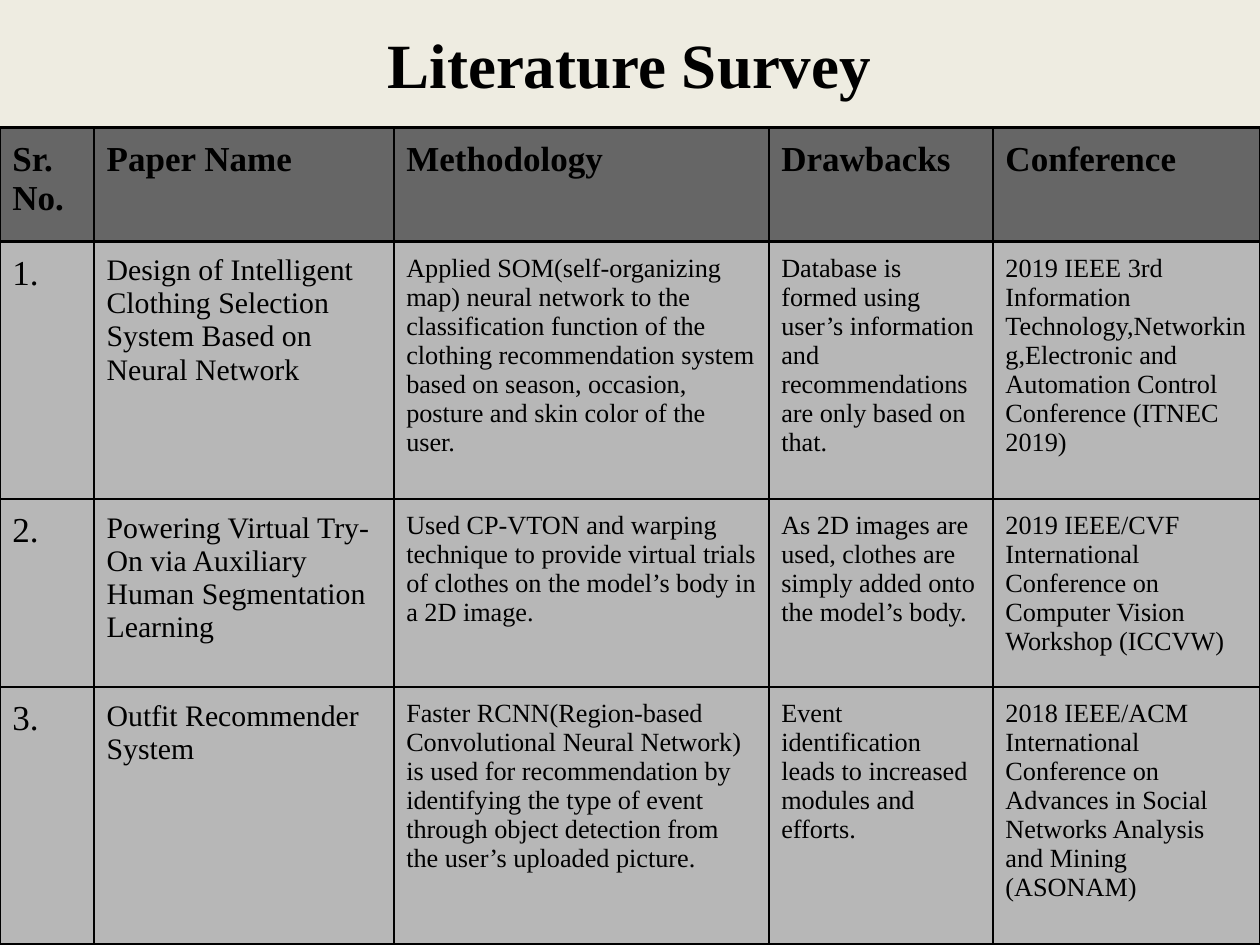
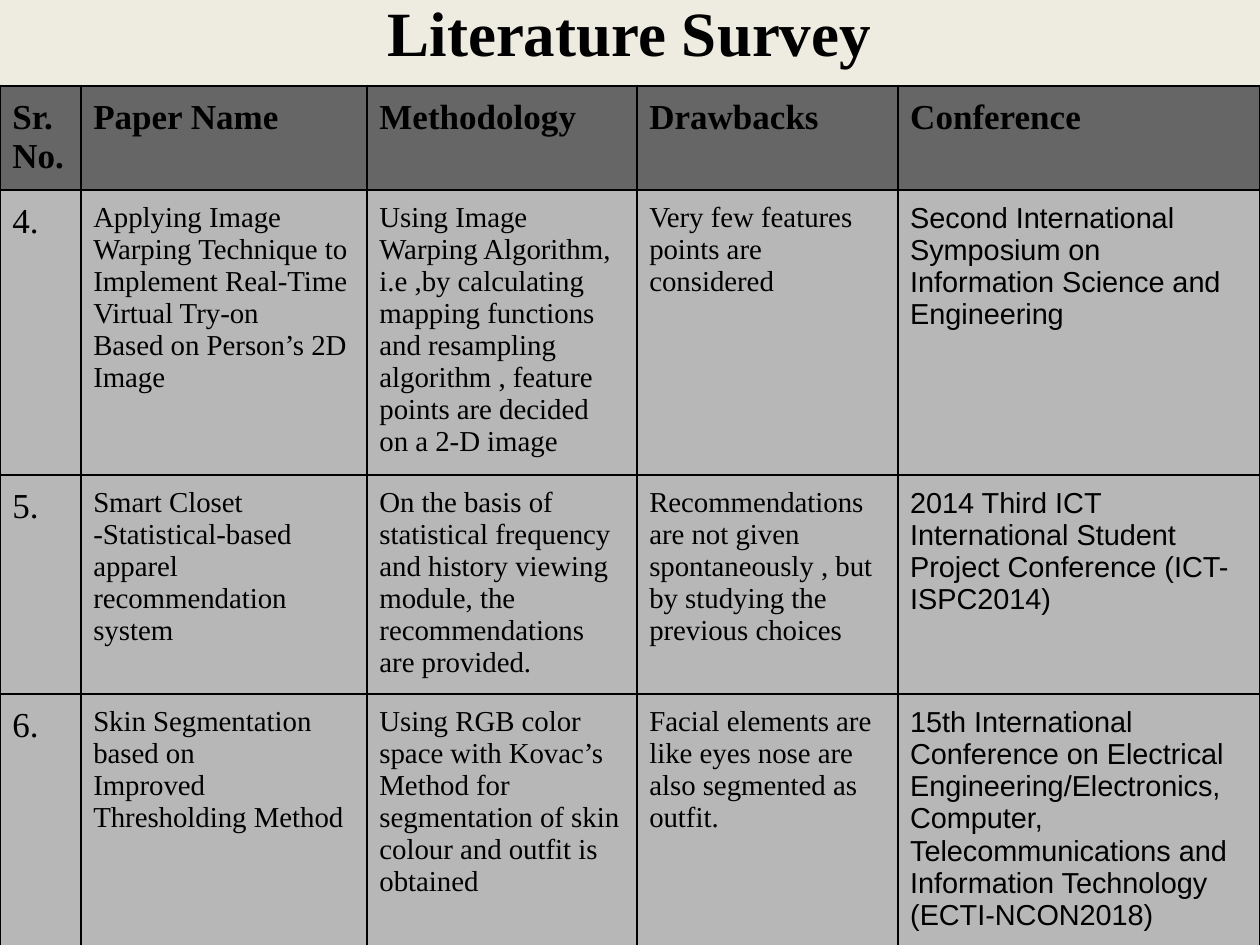
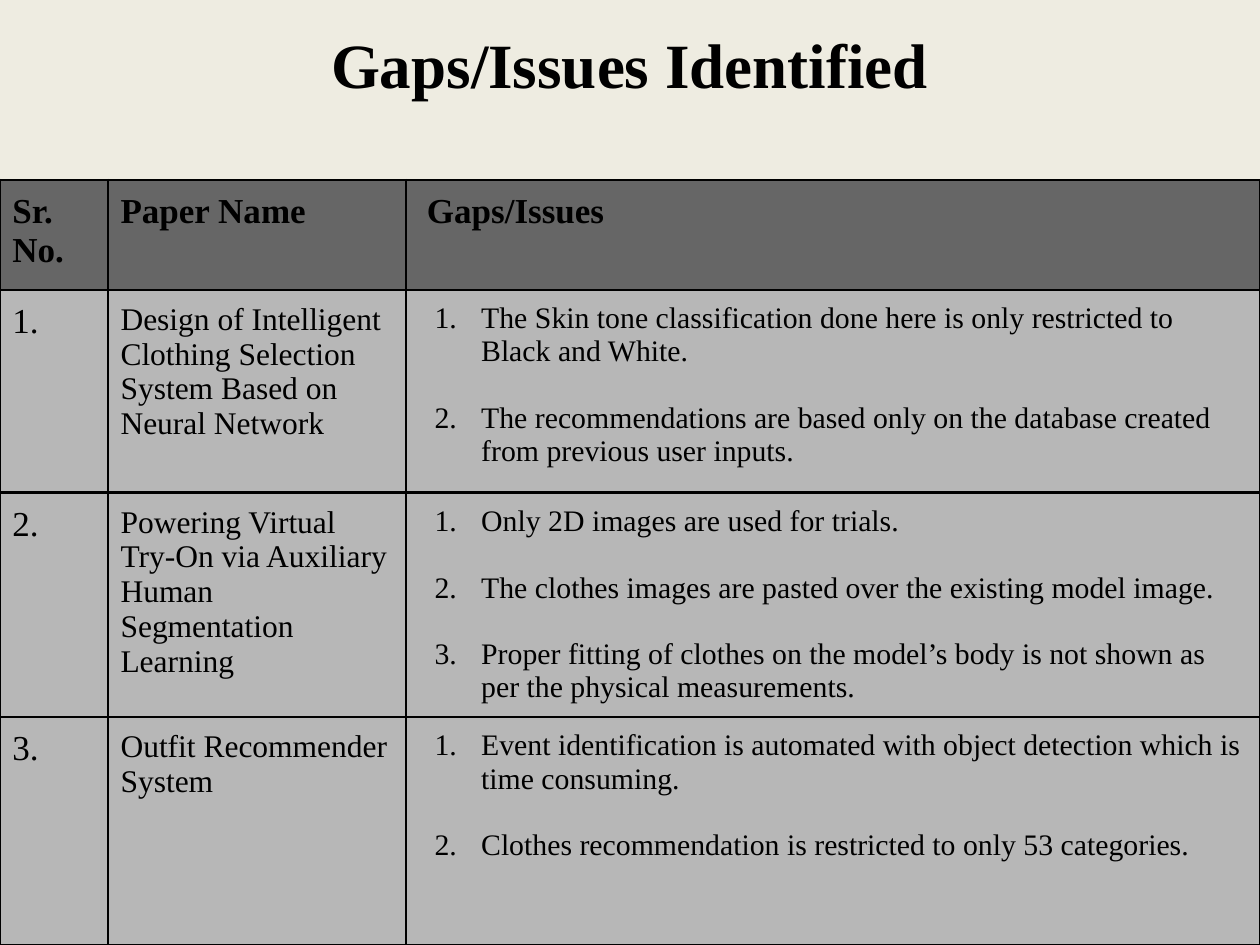
from lxml import etree
from pptx import Presentation
from pptx.dml.color import RGBColor
from pptx.enum.text import MSO_ANCHOR, MSO_AUTO_SIZE, PP_ALIGN
from pptx.oxml.ns import qn
from pptx.util import Cm, Pt

CENTER = PP_ALIGN.CENTER
MIDDLE = MSO_ANCHOR.MIDDLE
NO_AUTOFIT = MSO_AUTO_SIZE.NONE

# Shared style
BACKGROUND = "EEECE1"
HEADER_FILL = "666666"
BODY_FILL = "B7B7B7"
INK = "000000"
SERIF = "Times New Roman"
SANS = "Arial"
TITLE_ONLY = 5
CELL_MARGIN = Cm(0.25)
LIST_INDENT = Cm(1.27)
LIST_HANGING = Cm(-0.94)


def color(hex_string):
    return RGBColor.from_string(hex_string)


def write_text(frame, text, size=20, font=SERIF, bold=False, align=None, gap=0):
    """Fill a text frame, one paragraph per line of text."""
    for index, line in enumerate(text.split("\n")):
        paragraph = frame.add_paragraph() if index else frame.paragraphs[0]
        if align is not None:
            paragraph.alignment = align
        if index and gap:
            paragraph.space_before = Pt(gap)
        run = paragraph.add_run()
        run.text = line
        run.font.size = Pt(size)
        run.font.name = font
        run.font.bold = bold
        run.font.color.rgb = color(INK)


def add_solid_fill(parent, hex_string):
    fill = etree.SubElement(parent, qn("a:solidFill"))
    etree.SubElement(fill, qn("a:srgbClr"), val=hex_string)


def number_paragraphs(frame):
    for paragraph in frame.paragraphs:
        properties = paragraph._p.get_or_add_pPr()
        properties.set("marL", str(LIST_INDENT))
        properties.set("indent", str(LIST_HANGING))
        bullet_color = etree.SubElement(properties, qn("a:buClr"))
        etree.SubElement(bullet_color, qn("a:srgbClr"), val=INK)
        etree.SubElement(properties, qn("a:buFont"), typeface=SERIF)
        etree.SubElement(properties, qn("a:buAutoNum"), type="arabicPeriod")


def add_borders(cell):
    properties = cell._tc.get_or_add_tcPr()
    for index, side in enumerate(("a:lnL", "a:lnR", "a:lnT", "a:lnB")):
        line = etree.Element(qn(side), w=str(Pt(1.5)))
        add_solid_fill(line, INK)
        properties.insert(index, line)


class SurveyDeck:
    def __init__(self):
        self.presentation = Presentation()
        self.presentation.slide_width = Cm(25.4)
        self.presentation.slide_height = Cm(19.05)
        fill = self.presentation.slide_master.background.fill
        fill.solid()
        fill.fore_color.rgb = color(BACKGROUND)
        self.slide = None

    def add_slide(self, title, title_top):
        layout = self.presentation.slide_layouts[TITLE_ONLY]
        self.slide = self.presentation.slides.add_slide(layout)
        shape = self.slide.shapes.title
        shape.left, shape.top = Cm(1.27), Cm(title_top)
        shape.width, shape.height = Cm(22.84), Cm(3.15)
        frame = shape.text_frame
        frame.auto_size = NO_AUTOFIT
        frame.vertical_anchor = MIDDLE
        write_text(frame, title, size=36, bold=True, align=CENTER)

    def add_table(self, top, widths, heights, rows, formats, numbered_column=None):
        """The first row is the header; formats holds one style per body column."""
        table = self.slide.shapes.add_table(
            len(rows), len(widths), 0, Cm(top), Cm(sum(widths)), Cm(sum(heights))
        ).table
        table.horz_banding = False
        for column, width in zip(table.columns, widths):
            column.width = Cm(width)
        for row, height in zip(table.rows, heights):
            row.height = Cm(height)
        for row_index, texts in enumerate(rows):
            for column_index, text in enumerate(texts):
                cell = table.cell(row_index, column_index)
                is_header = row_index == 0
                style = {"bold": True} if is_header else formats[column_index]
                self.fill_cell(cell, text, HEADER_FILL if is_header else BODY_FILL, style)
                if column_index == numbered_column and not is_header:
                    number_paragraphs(cell.text_frame)

    def fill_cell(self, cell, text, fill_color, style):
        cell.margin_left = cell.margin_right = CELL_MARGIN
        cell.margin_top = cell.margin_bottom = CELL_MARGIN
        cell.fill.solid()
        cell.fill.fore_color.rgb = color(fill_color)
        add_borders(cell)
        write_text(cell.text_frame, text, **style)


# Content
SURVEY_HEADER = ("Sr. No.", "Paper Name", "Methodology", "Drawbacks", "Conference")
FIRST_PAPERS = (
    "Design of Intelligent Clothing Selection System Based on Neural Network",
    "Powering Virtual Try-On via Auxiliary Human Segmentation Learning",
    "Outfit Recommender System",
)
FIRST_SURVEY = [
    SURVEY_HEADER,
    ("1.", FIRST_PAPERS[0],
     "Applied SOM(self-organizing map) neural network to the classification function of "
     "the clothing recommendation system based on season, occasion, posture and skin "
     "color of the user.",
     "Database is formed using user’s information and recommendations are only based on that.",
     "2019 IEEE 3rd Information Technology,Networking,Electronic and Automation Control "
     "Conference (ITNEC 2019)"),
    ("2.", FIRST_PAPERS[1],
     "Used CP-VTON and warping technique to provide virtual trials of clothes on the "
     "model’s body in a 2D image.",
     "As 2D images are used, clothes are simply added onto the model’s body.",
     "2019 IEEE/CVF International Conference on Computer Vision Workshop (ICCVW)"),
    ("3.", FIRST_PAPERS[2],
     "Faster RCNN(Region-based\nConvolutional Neural Network) is used for recommendation "
     "by identifying the type of event through object detection from the user’s uploaded "
     "picture.",
     "Event identification leads to increased modules and efforts.",
     "2018 IEEE/ACM International Conference on Advances in Social Networks Analysis and "
     "Mining (ASONAM)"),
]
SECOND_SURVEY = [
    SURVEY_HEADER,
    ("4.",
     "Applying Image Warping Technique to\nImplement Real-Time Virtual Try-on\n"
     "Based on Person’s 2D Image",
     "Using Image Warping Algorithm, i.e ,by calculating mapping functions and resampling "
     "algorithm , feature points are decided on a 2-D image",
     "Very few features points are considered",
     "Second International Symposium on Information Science and Engineering"),
    ("5.",
     "Smart Closet\n-Statistical-based apparel recommendation system",
     "On the basis of statistical frequency and history viewing module, the "
     "recommendations are provided.",
     "Recommendations are not given spontaneously , but by studying the previous choices",
     "2014 Third ICT International Student Project Conference (ICT-ISPC2014)"),
    ("6.",
     "Skin Segmentation based on\nImproved Thresholding Method",
     "Using RGB color space with Kovac’s Method for segmentation of skin colour and "
     "outfit is obtained",
     "Facial elements are like eyes nose are also segmented as outfit.",
     "15th International Conference on Electrical Engineering/Electronics, Computer, "
     "Telecommunications and Information Technology (ECTI-NCON2018)"),
]
GAPS = [
    ("Sr. No.", "Paper Name", " Gaps/Issues"),
    ("1.", FIRST_PAPERS[0],
     "The Skin tone classification done here is only restricted to Black and White.\n"
     "The recommendations are based only on the database created from previous user inputs."),
    ("2.", FIRST_PAPERS[1],
     "Only 2D images are used for trials.\n"
     "The clothes images are pasted over the existing model image.\n"
     "Proper fitting of clothes on the model’s body is not shown as per the physical "
     "measurements."),
    ("3.", FIRST_PAPERS[2],
     "Event identification is automated with object detection which is time consuming.\n"
     "Clothes recommendation is restricted to only 53 categories."),
]


def main():
    deck = SurveyDeck()
    number = {"size": 20}

    # Survey of papers 1 to 3
    deck.add_slide("Literature Survey", title_top=-0.3)
    deck.add_table(2.57, (1.9, 6.04, 7.56, 4.52, 5.38), (2.3, 5.19, 3.79, 5.19),
                   FIRST_SURVEY, [number, {"size": 17}] + [{"size": 15}] * 3)

    # Survey of papers 4 to 6
    deck.add_slide("Literature Survey", title_top=-0.94)
    deck.add_table(1.73, (1.63, 5.77, 5.44, 5.26, 7.3), (2.1, 5.74, 4.42, 5.08),
                   SECOND_SURVEY,
                   [number] + [{"size": 16.5}] * 3 + [{"size": 16.5, "font": SANS}])

    # Gaps found in papers 1 to 3
    deck.add_slide("Gaps/Issues Identified", title_top=-0.3)
    deck.add_table(3.63, (2.18, 6, 17.22), (2.21, 4.09, 4.52, 4.6),
                   GAPS, [number, {"size": 18}, {"size": 17, "gap": 19}],
                   numbered_column=2)

    deck.presentation.save("out.pptx")


if __name__ == "__main__":
    main()
